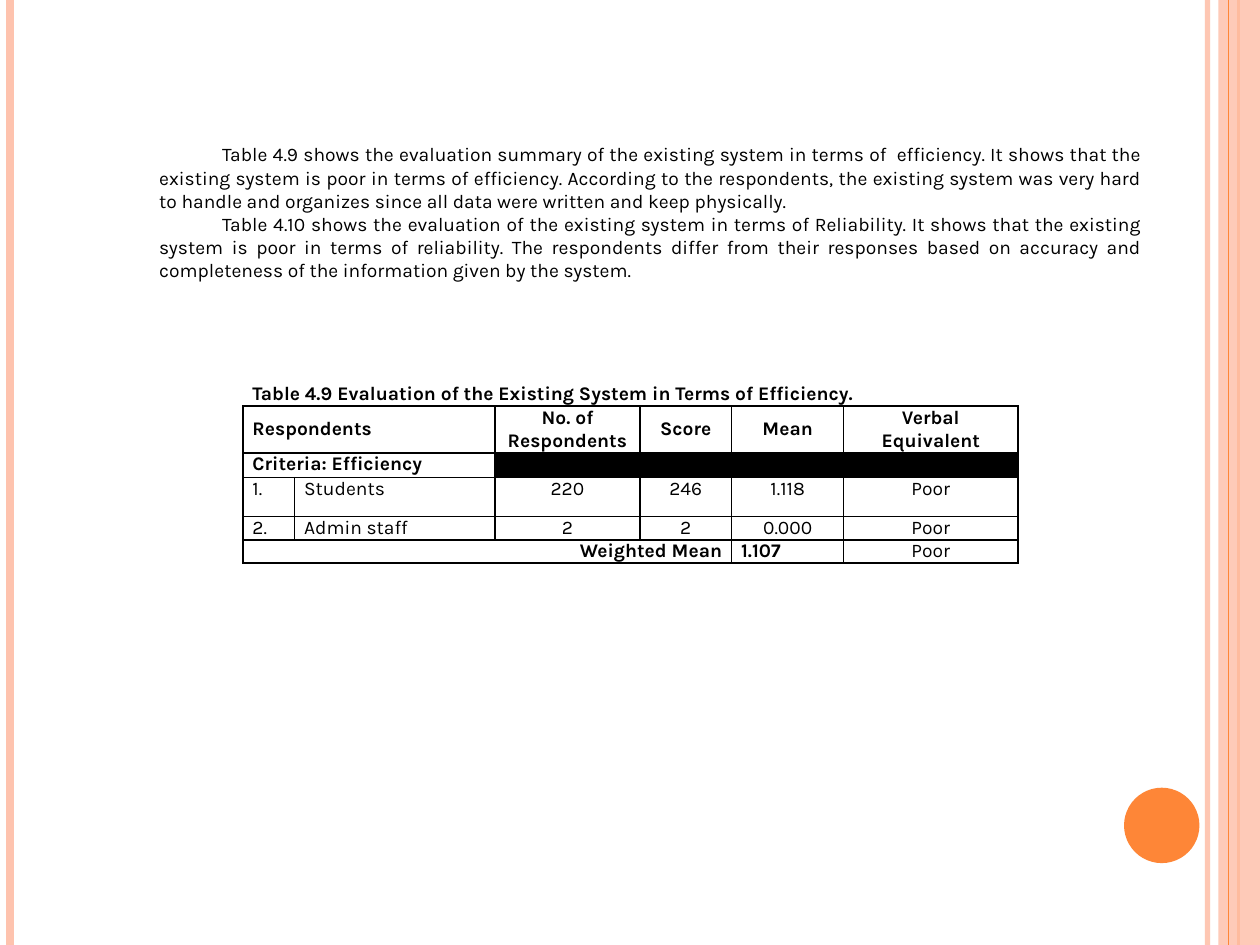
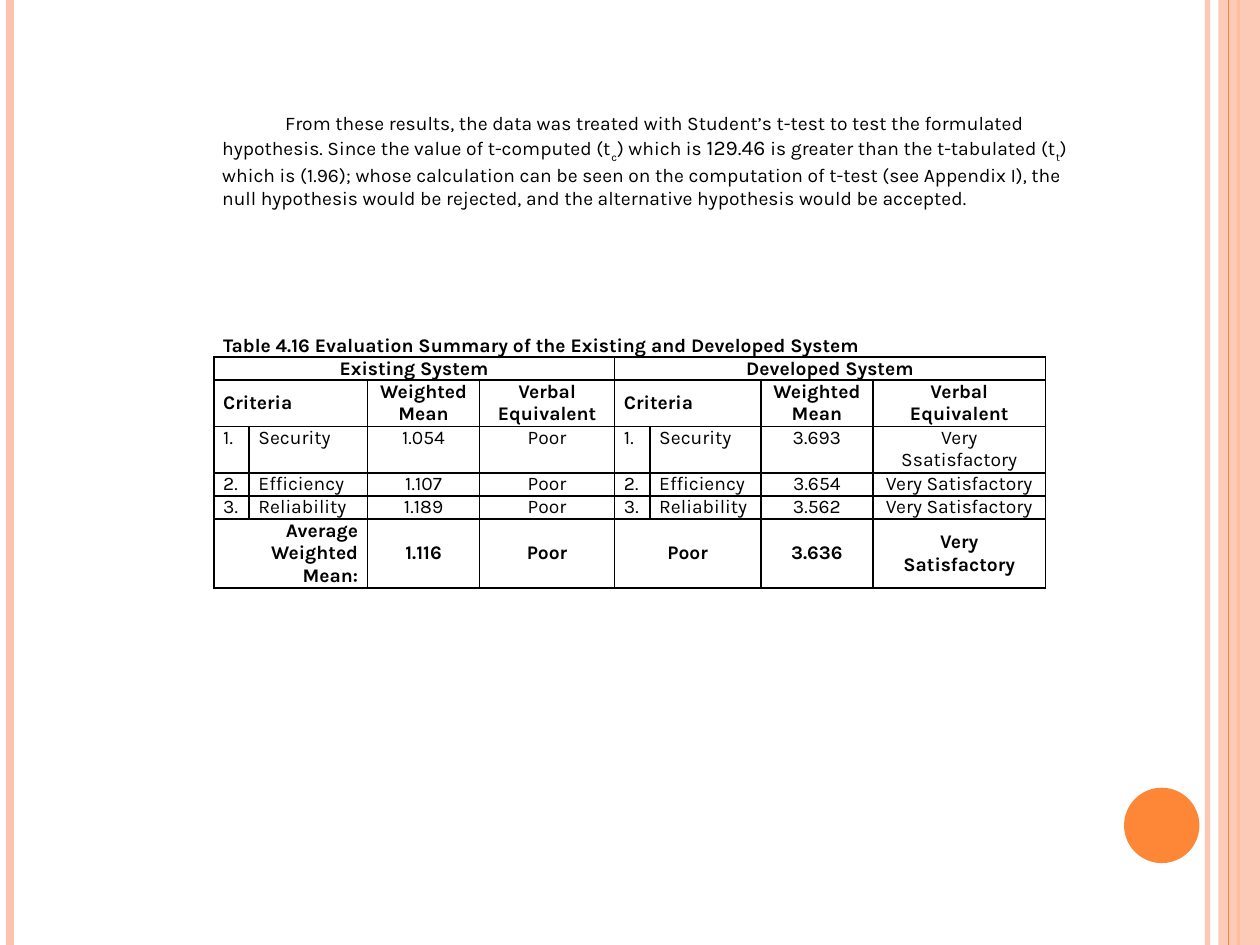
from lxml import etree
from pptx import Presentation
from pptx import util as u
from pptx.dml.color import RGBColor
from pptx.enum import shapes, text
from pptx.oxml.ns import qn

PEACH, ORANGE, BLACK = "FEC3AE", "FE8637", "000000"
WIDTH, HEIGHT = 25.4, 19.05
FONT, SIZE = "Karla", 11
ALIGN = {"l": text.PP_ALIGN.LEFT, "c": text.PP_ALIGN.CENTER,
         "r": text.PP_ALIGN.RIGHT, "j": text.PP_ALIGN.JUSTIFY}
TOP, MIDDLE, BOTTOM = (text.MSO_ANCHOR.TOP, text.MSO_ANCHOR.MIDDLE,
                       text.MSO_ANCHOR.BOTTOM)


def rgb(hex_color):
    return RGBColor.from_string(hex_color)


def paint(fill, color, opacity=100):
    fill.solid()
    fill.fore_color.rgb = rgb(color)
    if opacity < 100:
        clr = fill._xPr.find(f"{qn('a:solidFill')}/{qn('a:srgbClr')}")
        etree.SubElement(clr, qn("a:alpha"), val=str(opacity * 1000))


def add_run(p, words, size=SIZE, bold=False, color=BLACK, baseline=0):
    r = p.add_run()
    r.text = words
    r.font.name, r.font.size, r.font.bold = FONT, u.Pt(size), bold
    r.font.color.rgb = rgb(color)
    if baseline:
        r._r.get_or_add_rPr().set("baseline", str(baseline * 1000))


def border(cell, sides, color=BLACK, points=1):
    """Draw the named sides (of "LRTB") and clear the others."""
    tc_pr = cell._tc.get_or_add_tcPr()
    for side in "LRTB":
        ln = etree.SubElement(tc_pr, qn(f"a:ln{side}"), w=str(u.Pt(points)))
        if side in sides:
            fill = etree.SubElement(ln, qn("a:solidFill"))
            etree.SubElement(fill, qn("a:srgbClr"), val=color)
        else:
            etree.SubElement(ln, qn("a:noFill"))


class Deck:
    def __init__(self):
        self.prs = Presentation()
        self.prs.slide_width, self.prs.slide_height = u.Cm(WIDTH), u.Cm(HEIGHT)
        self.s = None

    def slide(self):
        """Start a slide with the side bands and the circle."""
        self.s = self.prs.slides.add_slide(self.prs.slide_layouts[6])
        self.rule(24.34, PEACH, 3, opacity=93)
        self.rule(0.2, PEACH, 4.5)
        self.rule(24.97, ORANGE, 1.5)
        self.shape(shapes.MSO_SHAPE.RECTANGLE, 24.56, 0, 0.84, HEIGHT, PEACH, 87)
        self.rule(24.77, ORANGE, 0.75)
        self.shape(shapes.MSO_SHAPE.OVAL, 22.66, 15.88, 1.52, 1.52, ORANGE)

    def rule(self, x, color, points, opacity=100):
        """Draw a vertical line over the whole slide height."""
        sp = self.s.shapes.add_connector(
            shapes.MSO_CONNECTOR.STRAIGHT, u.Cm(x), 0, u.Cm(x), u.Cm(HEIGHT))
        sp.line.width = u.Pt(points)
        paint(sp.line.fill, color, opacity)
        etree.SubElement(sp._element.spPr, qn("a:effectLst"))

    def shape(self, kind, x, y, w, h, color, opacity=100):
        sp = self.s.shapes.add_shape(kind, u.Cm(x), u.Cm(y), u.Cm(w), u.Cm(h))
        sp.shadow.inherit = False
        sp.line.fill.background()
        paint(sp.fill, color, opacity)

    def text(self, x, y, w, h, paragraphs, align="l", anchor=MIDDLE):
        """Write paragraphs, each a list of (words, format) runs."""
        sp = self.s.shapes.add_textbox(u.Cm(x), u.Cm(y), u.Cm(w), u.Cm(h))
        tf = sp.text_frame
        tf.word_wrap, tf.vertical_anchor = True, anchor
        for i, runs in enumerate(paragraphs):
            p = tf.add_paragraph() if i else tf.paragraphs[0]
            p.alignment = ALIGN[align]
            p._p.get_or_add_pPr().set("indent", str(u.Cm(1.27)))
            for words, fmt in runs:
                add_run(p, words, **fmt)

    def table(self, x, y, widths, rows):
        """Rows are (height, anchor, aligns, cells).

        A capital in aligns means bold; a cell of None joins the one on its
        left; an empty cell is black. The first row is the caption.
        """
        tbl = self.s.shapes.add_table(
            len(rows), len(widths), u.Cm(x), u.Cm(y),
            u.Cm(sum(widths)), u.Cm(sum(row[0] for row in rows))).table
        tbl.first_row = tbl.horz_banding = False
        for col, width in zip(tbl.columns, widths):
            col.width = u.Cm(width)
        for i, (height, anchor, aligns, cells) in enumerate(rows):
            tbl.rows[i].height = u.Cm(height)
            for j, words in enumerate(cells):
                self.cell(tbl.cell(i, j), words, aligns[j], anchor,
                          "LRTB" if i else "B")
            for j in range(len(cells)):
                end = j + 1
                while end < len(cells) and cells[end] is None:
                    end += 1
                if cells[j] is not None and end > j + 1:
                    tbl.cell(i, j).merge(tbl.cell(i, end - 1))

    def cell(self, cell, words, align, anchor, sides):
        cell.margin_left = cell.margin_right = u.Cm(0.19)
        cell.margin_top = cell.margin_bottom = 0
        cell.vertical_anchor = anchor
        border(cell, sides)
        if words == "":
            paint(cell.fill, BLACK)
        else:
            cell.fill.background()
        p = cell.text_frame.paragraphs[0]
        p.alignment = ALIGN[align.lower()]
        if words:
            add_run(p, words, bold=align.isupper())
        else:
            etree.SubElement(p._p, qn("a:endParaRPr"), sz=str(SIZE * 100))


def efficiency_slide(deck):
    deck.slide()
    deck.table(4.9, 7.72, [1.04, 4.04, 2.92, 1.85, 2.26, 3.51], [
        (0.46, TOP, "LLLLLL",
         ["Table 4.9 Evaluation of the Existing System in Terms of Efficiency."]
         + [None] * 5),
        (0.95, MIDDLE, "LLCCCC",
         ["Respondents", None, "No. of Respondents", "Score", "Mean",
          "Verbal Equivalent"]),
        (0.5, TOP, "LLCCCC", ["Criteria: Efficiency", None] + [""] * 4),
        (0.78, TOP, "llcccc", ["1.", "Students", "220", "246", "1.118", "Poor"]),
        (0.48, TOP, "llcccc", ["2.", "Admin staff", "2", "2", "0.000", "Poor"]),
        (0.46, TOP, "RRRRLc",
         ["Weighted Mean", None, None, None, "1.107", "Poor"]),
    ])
    deck.text(2.96, 2.74, 20.32, 3.07, [
        [("Table 4.9 shows the evaluation summary of the existing system in "
          "terms of  efficiency. It shows that the existing system is poor in "
          "terms of efficiency. According to the respondents, the existing "
          "system was very hard to handle and organizes since all data were "
          "written and keep physically. ", {})],
        [("Table 4.10 shows the evaluation of the existing system in terms of "
          "Reliability. It shows that the existing system is poor in terms of "
          "reliability. The respondents differ from their responses based on "
          "accuracy and completeness of the information given by the system. ",
          {})],
    ], align="j")


def summary_slide(deck):
    deck.slide()
    headings = ["Criteria", None, "Weighted Mean", "Verbal Equivalent"]
    results = [
        (0.94, "Security", "1.054", "3.693", "Very Ssatisfactory"),
        (0.46, "Efficiency", "1.107", "3.654", "Very Satisfactory"),
        (0.46, "Reliability", "1.189", "3.562", "Very Satisfactory"),
    ]
    deck.table(4.31, 6.27, [0.71, 2.39, 2.26, 2.72, 0.71, 2.24, 2.26, 3.48], [
        (0.93, BOTTOM, "L" * 8,
         ["Table 4.16 Evaluation Summary of the Existing and Developed System"]
         + [None] * 7),
        (0.46, MIDDLE, "C" * 8,
         ["Existing System", None, None, None,
          "Developed System", None, None, None]),
        (0.94, MIDDLE, "LLCC" * 2, headings * 2),
        *[(height, TOP, "llcc" * 2,
           [f"{n}.", name, existing, "Poor", f"{n}.", name, developed, verdict])
          for n, (height, name, existing, developed, verdict)
          in enumerate(results, 1)],
        (1.39, MIDDLE, "RRCCCCCC",
         ["Average Weighted Mean:", None, "1.116", "Poor",
          "Poor", None, "3.636", "Very Satisfactory"]),
    ])
    subscript = {"baseline": -30}
    deck.text(4.23, 2.12, 18.2, 2.95, [[
        ("From these results, the data was treated with Student’s t-test to "
         "test the formulated hypothesis. Since the value of t-computed (t", {}),
        ("c", subscript),
        (") which is ", {}),
        ("129.46 ", {"size": 12}),
        ("is greater than the t-tabulated (t", {}),
        ("t", subscript),
        (") which is (1.96); whose calculation can be seen on the computation "
         "of t-test (see Appendix I), the null hypothesis would be rejected, "
         "and the alternative hypothesis would be accepted.", {}),
    ]], anchor=TOP)


def main():
    deck = Deck()
    efficiency_slide(deck)
    summary_slide(deck)
    deck.prs.save("out.pptx")


if __name__ == "__main__":
    main()
